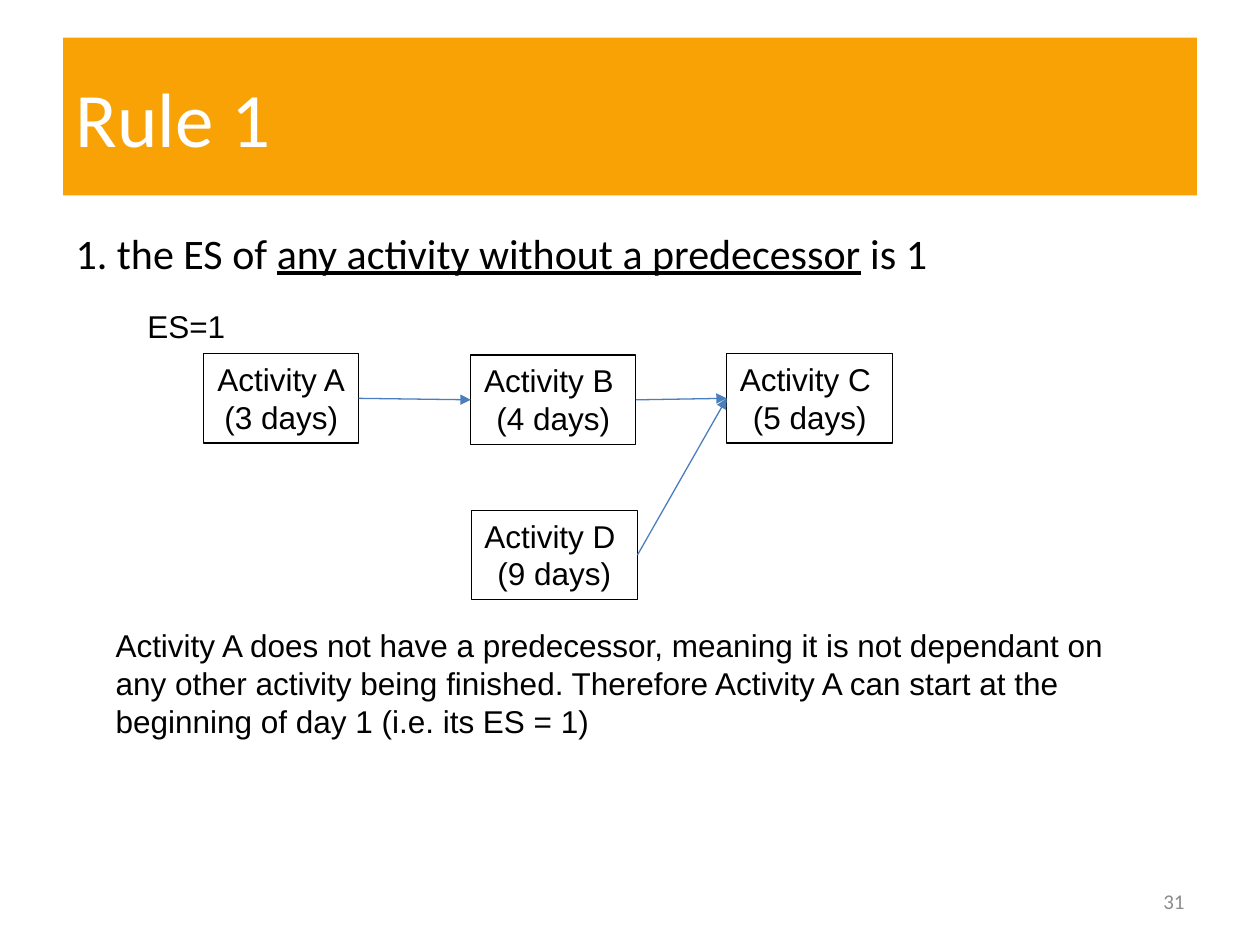
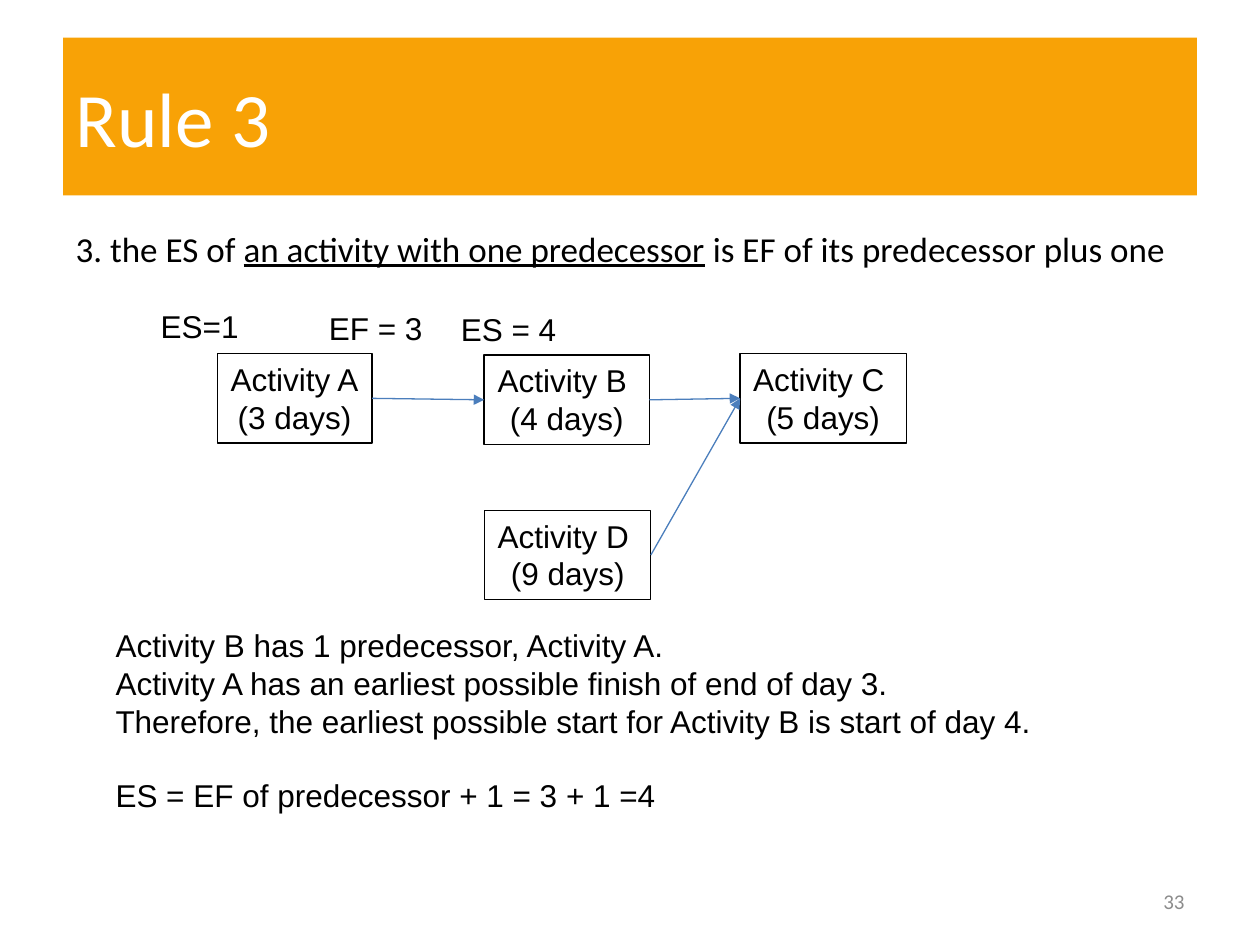
from dataclasses import dataclass

from lxml.etree import SubElement
from pptx import Presentation
from pptx.dml.color import RGBColor as RGB
from pptx.enum.shapes import MSO_CONNECTOR as Line, MSO_SHAPE as Shape
from pptx.enum.text import MSO_ANCHOR as Anchor, MSO_AUTO_SIZE as AutoSize, PP_ALIGN as Align
from pptx.oxml.ns import qn
from pptx.util import Cm, Pt


@dataclass(frozen=True)
class Theme:
    band: RGB = RGB(0xF8, 0xA2, 0x06)
    white: RGB = RGB(0xFF, 0xFF, 0xFF)
    ink: RGB = RGB(0, 0, 0)
    arrow: RGB = RGB(0x4B, 0x7E, 0xBC)
    muted: RGB = RGB(0x8C, 0x8C, 0x8C)
    heading: str = "Calibri"
    diagram: str = "Arial"
    title_size: int = 44
    rule_size: int = 24
    long_rule_size: int = 20
    text_size: int = 18
    number_size: int = 12
    line: float = 0.75


def apply(target, **values):
    for name, value in values.items():
        setattr(target, name, value)


def place(sp, left, top, width, height):
    apply(sp, left=Cm(left), top=Cm(top), width=Cm(width), height=Cm(height))


class Deck:
    def __init__(self, theme):
        self.t = theme
        self.prs = Presentation()
        apply(self.prs, slide_width=Cm(25.4), slide_height=Cm(19.05))
        self.s = None

    def fill_text(self, sp, lines, size=None, font=None, color=None, align=Align.LEFT):
        tf = sp.text_frame
        for i, line in enumerate(lines):
            p = tf.add_paragraph() if i else tf.paragraphs[0]
            p.alignment = align
            for text, underline in [(line, None)] if isinstance(line, str) else line:
                r = p.add_run()
                r.text = text
                apply(r.font, size=Pt(size or self.t.text_size), underline=underline,
                      name=font or self.t.diagram)
                r.font.color.rgb = self.t.ink if color is None else color
        return tf

    def slide(self, title, number):
        self.s = self.prs.slides.add_slide(self.prs.slide_layouts[1])
        sp = self.s.shapes.title
        place(sp, 1.27, 0.76, 22.86, 3.18)
        sp.fill.solid()
        sp.fill.fore_color.rgb = self.t.band
        tf = self.fill_text(sp, [title], self.t.title_size, self.t.heading, self.t.white)
        apply(tf, vertical_anchor=Anchor.MIDDLE, auto_size=AutoSize.NONE)
        sp = self.text([str(number)], 18.21, 17.65, 5.92, 1.02, size=self.t.number_size,
                       font=self.t.heading, color=self.t.muted, align=Align.RIGHT)
        sp.text_frame.vertical_anchor = Anchor.MIDDLE

    def rule(self, parts, size, width):
        sp = self.s.placeholders[1]
        place(sp, 1.27, 4.45, width, 2.08)
        tf = self.fill_text(sp, [parts], size, self.t.heading)
        tf.auto_size = AutoSize.NONE
        pPr = tf.paragraphs[0]._p.get_or_add_pPr()
        for name in ("marL", "indent"):
            pPr.set(name, "0")
        SubElement(pPr, qn("a:buNone"))

    def text(self, lines, left, top, width, height, wrap=True, **style):
        sp = self.s.shapes.add_textbox(Cm(left), Cm(top), Cm(width), Cm(height))
        sp.text_frame.word_wrap = wrap
        self.fill_text(sp, lines, **style)
        return sp

    def label(self, text, left, top, width):
        self.text([text], left, top, width, 1.02, wrap=False)

    def activity(self, lines, left, top, width):
        sp = self.s.shapes.add_shape(Shape.RECTANGLE, Cm(left), Cm(top), Cm(width), Cm(1.8))
        sp.shadow.inherit = False
        sp.fill.background()
        sp.line.color.rgb = self.t.ink
        sp.line.width = Pt(self.t.line)
        tf = self.fill_text(sp, lines, align=Align.CENTER)
        apply(tf, word_wrap=False, vertical_anchor=Anchor.TOP)
        return sp

    def arrow(self, start, end):
        cn = self.s.shapes.add_connector(Line.STRAIGHT, 0, 0, 0, 0)
        cn.begin_connect(start, 3)
        cn.end_connect(end, 1)
        cn.line.color.rgb = self.t.arrow
        cn.line.width = Pt(self.t.line)
        SubElement(cn.line._get_or_add_ln(), qn("a:tailEnd"), type="triangle")
        SubElement(cn._element.spPr, qn("a:effectLst"))

    def network(self, shift=0):
        activities = {
            "A": ("Activity A", 3, 4.11, 7.13, 3.12),
            "B": ("Activity B ", 4, 9.49, 7.16, 3.33),
            "C": ("Activity C ", 5, 14.65, 7.13, 3.35),
            "D": ("Activity D ", 9, 9.5, 10.29, 3.35),
        }
        boxes = {key: self.activity([name, f"({days} days)"], left + shift, top, width)
                 for key, (name, days, left, top, width) in activities.items()}
        for start, end in ("AB", "BC", "DC"):
            self.arrow(boxes[start], boxes[end])
        self.label("ES=1", 2.72 + shift, 6.07, 2.11)

    def explain(self, lines, height):
        return self.text(lines, 2.08, 12.5, 21.23, height)


def main():
    d = Deck(Theme())

    d.slide("Rule 1", 31)
    d.rule([("1. the ES of ", None), ("any activity without a predecessor", True),
            (" is 1", None)], d.t.rule_size, 22.02)
    d.network()
    d.explain(["Activity A does not have a predecessor, meaning it is not dependant on "
               "any other activity being finished. Therefore Activity A can start at the "
               "beginning of day 1 (i.e. its ES = 1)"], 2.57)

    d.slide("Rule 3", 33)
    d.rule([("3. the ES of ", None), ("an activity with one predecessor", True),
            (" is EF of its predecessor plus one", None)], d.t.long_rule_size, 23.24)
    d.network(shift=0.27)
    d.label("EF = 3", 6.38, 6.1, 2.41)
    d.label("ES = 4", 9.04, 6.12, 2.46)
    sp = d.explain(["Activity B has 1 predecessor, Activity A.",
                    "Activity A has an earliest possible finish of end of day 3.",
                    "Therefore, the earliest possible start for Activity B is start of day 4.",
                    "ES = EF of predecessor + 1 = 3 + 1 =4"], 4.11)
    sp.text_frame.paragraphs[-1].space_before = Pt(21)

    d.prs.save("out.pptx")


if __name__ == "__main__":
    main()
